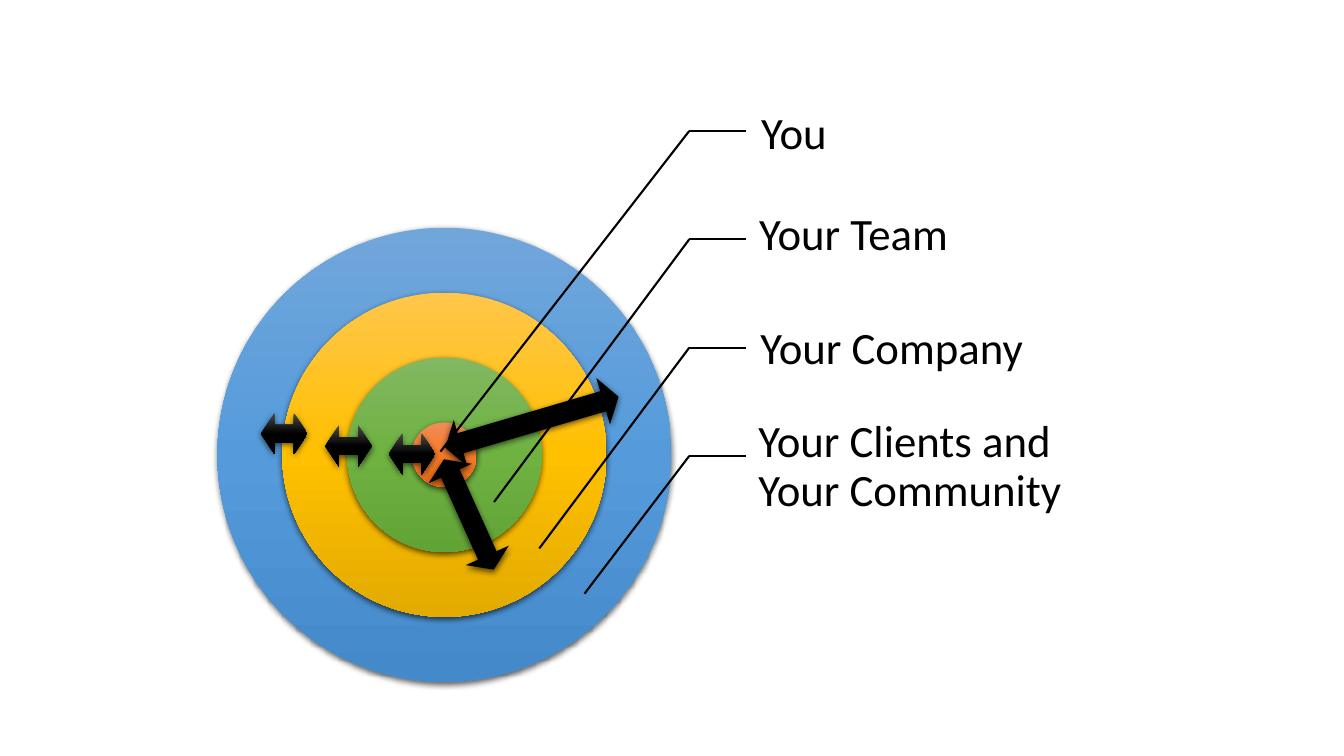
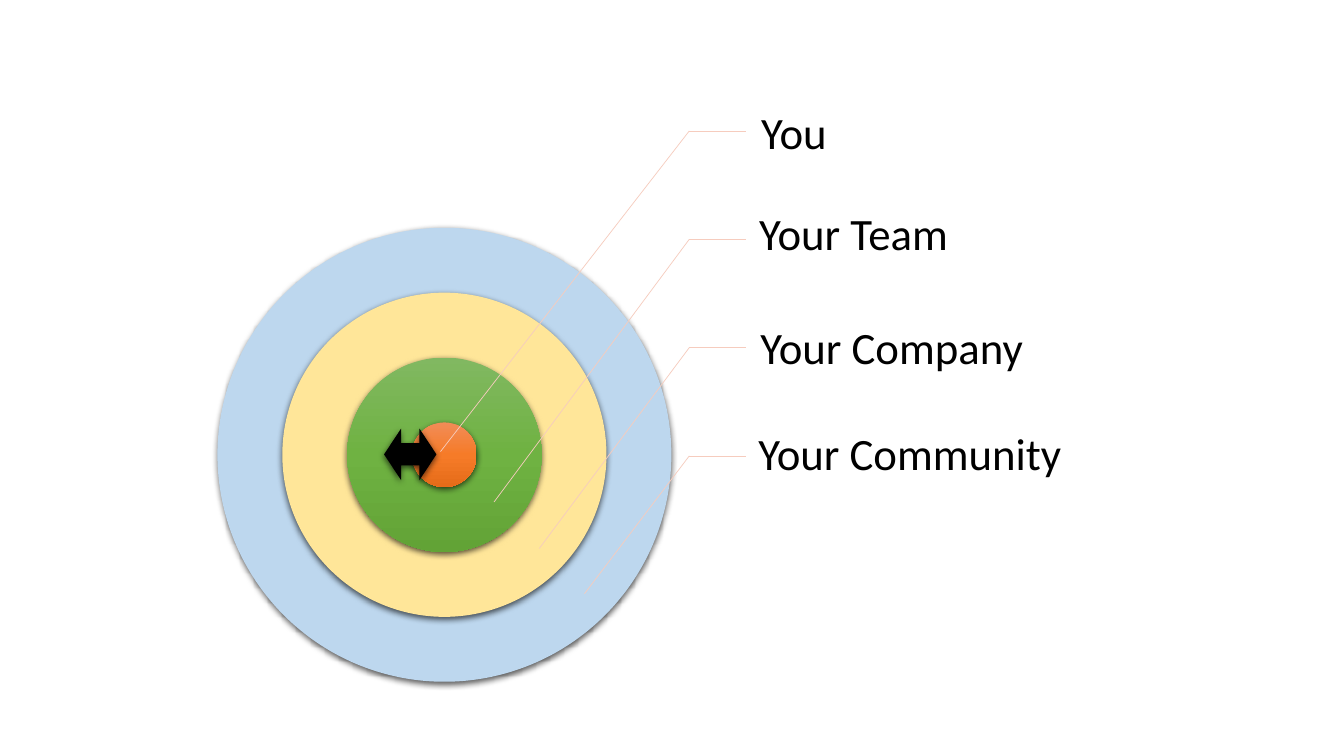
from copy import deepcopy
from pptx import Presentation
from pptx.dml.color import RGBColor
from pptx.enum.shapes import MSO_CONNECTOR, MSO_SHAPE
from pptx.enum.text import MSO_ANCHOR, PP_ALIGN
from pptx.oxml import parse_xml
from pptx.oxml.ns import nsdecls, qn
from pptx.util import Cm, Pt

BLACK = RGBColor(0x00, 0x00, 0x00)
PINK = RGBColor(0xF6, 0xCC, 0xBE)
PALE_BLUE = RGBColor(0xBD, 0xD7, 0xEE)
PALE_GOLD = RGBColor(0xFF, 0xE6, 0x99)
BLUE = [RGBColor(0x71, 0xA6, 0xDB), RGBColor(0x55, 0x9B, 0xDB), RGBColor(0x44, 0x8A, 0xCA)]
GOLD = [RGBColor(0xFF, 0xC6, 0x4B), RGBColor(0xFF, 0xC0, 0x00), RGBColor(0xE3, 0xAB, 0x00)]
GREEN = [RGBColor(0x81, 0xB8, 0x61), RGBColor(0x6F, 0xB2, 0x42), RGBColor(0x62, 0xA3, 0x36)]
ORANGE = [RGBColor(0xF1, 0x8C, 0x57), RGBColor(0xF6, 0x7B, 0x28), RGBColor(0xE5, 0x6C, 0x19)]
COAL = [RGBColor(0x4B, 0x4B, 0x4B), BLACK, BLACK]

SHADOW = (
    f'<a:outerShdw {nsdecls("a")} blurRad="57150" dist="19050" dir="5400000" '
    'algn="ctr" rotWithShape="0"><a:srgbClr val="000000">'
    '<a:alpha val="63000"/></a:srgbClr></a:outerShdw>'
)


def add_form(slide, kind, box, paint, turn=0):
    form = slide.shapes.add_shape(kind, *map(Cm, box))
    form.rotation = turn
    form.line.fill.background()
    props = form._element.spPr
    if isinstance(paint, list):
        form.fill.gradient()
        form.fill.gradient_angle = 270
        stops = props.find(qn("a:gradFill")).find(qn("a:gsLst"))
        stops.append(deepcopy(stops[-1]))
        for stop, place, shade in zip(form.fill.gradient_stops, (0, 0.5, 1), paint):
            stop.position = place
            stop.color.rgb = shade
    else:
        form.fill.solid()
        form.fill.fore_color.rgb = paint
    form.shadow.inherit = False
    props.find(qn("a:effectLst")).append(parse_xml(SHADOW))
    return form


def add_label(slide, text, box, size=32, font="Calibri", color=BLACK, spacing=0.9):
    label = slide.shapes.add_textbox(*map(Cm, box))
    frame = label.text_frame
    frame.word_wrap = True
    frame.vertical_anchor = MSO_ANCHOR.MIDDLE
    frame.margin_left = Cm(0.64)
    frame.margin_right = frame.margin_top = frame.margin_bottom = Cm(0.1)
    para = frame.paragraphs[0]
    para.text = text
    para.alignment = PP_ALIGN.LEFT
    para.line_spacing = spacing
    para.font.size = Pt(size)
    para.font.name = font
    para.font.color.rgb = color


MID_X, MID_Y = 11.2, 11.46
CORE, STEP = 1.63, 3.27
BEND_X, TEXT_X = 17.37, 18.8
FIRST_Y, GAP_Y = 3.3, 2.73
TIPS = [(11.1, 11.38), (12.45, 12.65), (13.59, 13.82), (14.73, 14.96)]
PLACES = [(18.54, 2.03, 5.72), (18.49, 4.57, 11.07), (18.52, 7.44, 10.06)]
NAMES = ["You", "Your Team", "Your Company"]

PAGES = [
    {
        "rings": [BLUE, GOLD, GREEN, ORANGE],
        "last": ("Your Clients and\nYour Community", 10.41),
        "line": (BLACK, 1.5),
        "arrows": [
            ((9.8, 10.92, 1.17, 1.04), COAL, 0),
            ((8.2, 10.72, 1.17, 1.04), COAL, 0),
            ((6.58, 10.41, 1.17, 1.04), COAL, 0),
            ((11.13, 10.03, 4.55, 1.22), BLACK, 343.6),
            ((10.29, 12.37, 3.05, 1.19), BLACK, 65.7),
        ],
    },
    {
        "rings": [PALE_BLUE, PALE_GOLD, GREEN, ORANGE],
        "last": ("Your Community", 10.13),
        "line": (PINK, 0.5),
        "arrows": [((9.68, 10.8, 1.32, 1.3), BLACK, 0)],
    },
]

deck = Presentation()
deck.slide_width = Cm(33.87)
deck.slide_height = Cm(19.05)

for page in PAGES:
    slide = deck.slides.add_slide(deck.slide_layouts[6])

    for rank, paint in enumerate(page["rings"]):
        size = CORE + STEP * (3 - rank)
        box = (MID_X - size / 2, MID_Y - size / 2, size, size)
        add_form(slide, MSO_SHAPE.OVAL, box, paint)

    text, top = page["last"]
    places = PLACES + [(18.47, top, 12.27)]
    color, width = page["line"]
    for row, (name, place, tip) in enumerate(zip(NAMES + [text], places, TIPS)):
        add_label(slide, name, (*place, 2.74))
        bend_y = FIRST_Y + GAP_Y * row
        for end in ((TEXT_X, bend_y), tip):
            line = slide.shapes.add_connector(
                MSO_CONNECTOR.STRAIGHT, *map(Cm, (BEND_X, bend_y, *end))
            )
            line.line.color.rgb = color
            line.line.width = Pt(width)
            line._element.spPr.append(parse_xml(f'<a:effectLst {nsdecls("a")}/>'))

    for box, paint, turn in page["arrows"]:
        arrow = add_form(slide, MSO_SHAPE.LEFT_RIGHT_ARROW, box, paint, turn)
        arrow.adjustments[0] = 0.43
        arrow.adjustments[1] = 0.33

deck.save("out.pptx")
